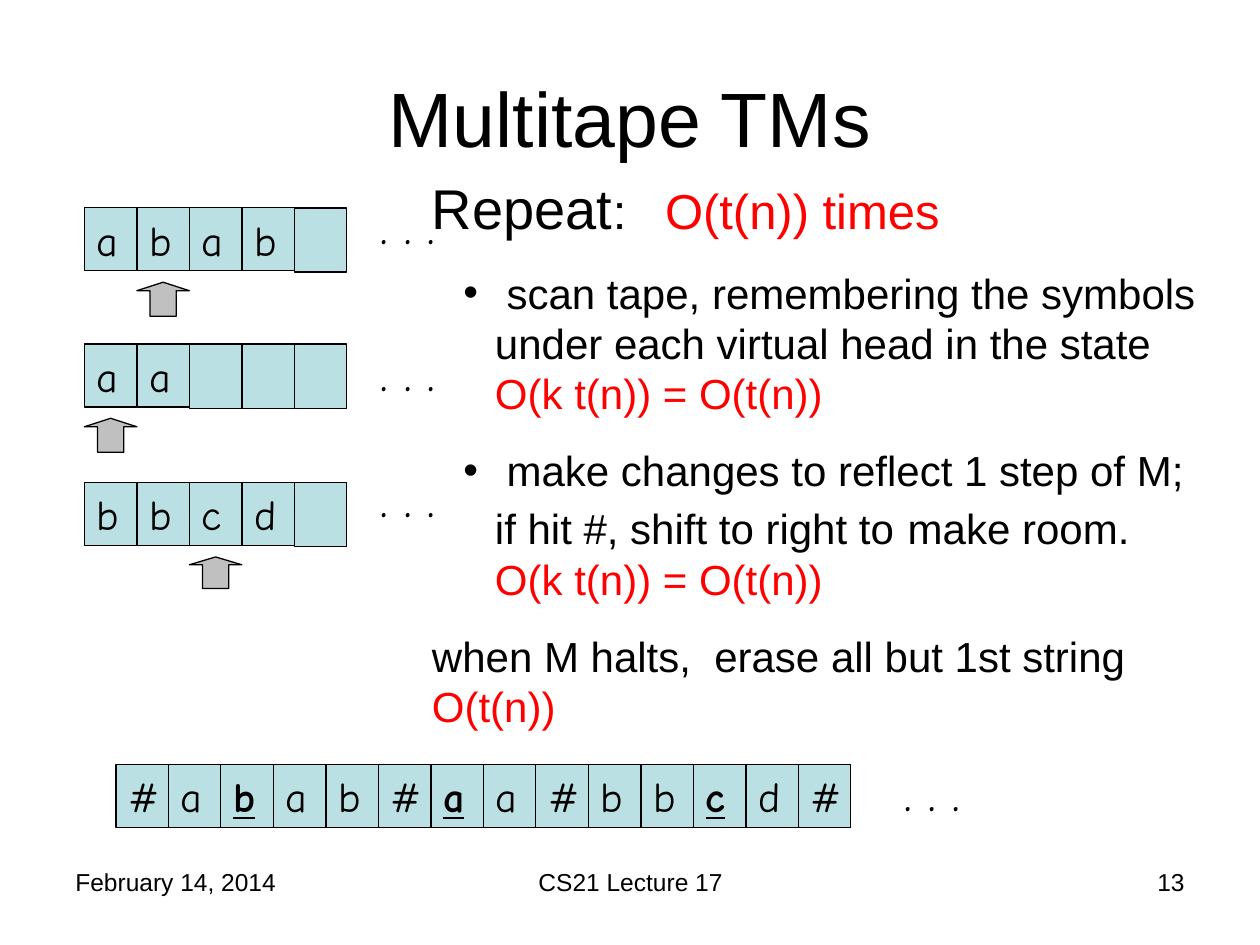
import pptx
import pptx.dml.color
import pptx.enum.shapes
import pptx.enum.text
import pptx.oxml.ns
import pptx.util
from lxml import etree
from pptx.util import Inches

COLORS = {"ink": "000000", "cost": "FF0000", "cell": "BBE0E3", "head": "C0C0C0"}
ALIGN = pptx.enum.text.PP_ALIGN
SHAPES = pptx.enum.shapes.MSO_SHAPE
CELL_WIDTH = 5 / 12


def rgb(name):
    """Return the named colour."""
    return pptx.dml.color.RGBColor.from_string(COLORS[name])


def add_span(para, text, size=24, font="Arial", color="ink", marked=False):
    """Add formatted text to a paragraph, bold and underlined when marked."""
    span = para.add_run()
    span.text = text
    span.font.size = pptx.util.Pt(size)
    span.font.name = font
    span.font.color.rgb = rgb(color)
    if marked:
        span.font.bold = span.font.underline = True


def add_box(page, left, top, width, height):
    """Add an empty wrapping text box."""
    box = page.shapes.add_textbox(Inches(left), Inches(top), Inches(width), Inches(height))
    box.text_frame.word_wrap = True
    return box


def add_label(page, text, left, top, width, height, align=ALIGN.LEFT, before=0, **style):
    """Add a one-line text box."""
    para = add_box(page, left, top, width, height).text_frame.paragraphs[0]
    para.alignment = align
    para.space_before = pptx.util.Pt(before)
    add_span(para, text, **style)


def add_dots(page, left, top, width):
    """Add the dots that continue a tape."""
    add_label(page, ". . .", left, top, width, 0.57, before=17.5, size=28, font="Comic Neue")


def add_block(page, kind, left, top, height, fill):
    """Add an outlined shape one cell wide."""
    block = page.shapes.add_shape(kind, Inches(left), Inches(top), Inches(CELL_WIDTH), Inches(height))
    block.shadow.inherit = False
    block.fill.solid()
    block.fill.fore_color.rgb = rgb(fill)
    block.line.color.rgb = rgb("ink")
    block.line.width = pptx.util.Pt(0.75)
    return block


def add_tape(page, symbols, left, top, marked=()):
    """Add a row of cells, where a space is a blank cell."""
    for index, symbol in enumerate(symbols):
        blank = symbol == " "
        cell = add_block(page, SHAPES.RECTANGLE, left + index * CELL_WIDTH, top, 0.51 if blank else 0.5, "cell")
        if blank:
            continue
        frame = cell.text_frame
        frame.vertical_anchor = pptx.enum.text.MSO_ANCHOR.TOP
        para = frame.paragraphs[0]
        para.alignment = ALIGN.LEFT
        para.space_before = pptx.util.Pt(15)
        add_span(para, symbol, font="Comic Neue", marked=index in marked)


def add_tab_stop(para, position):
    """Give a paragraph one left tab stop."""
    tabs = etree.SubElement(para._p.get_or_add_pPr(), pptx.oxml.ns.qn("a:tabLst"))
    etree.SubElement(tabs, pptx.oxml.ns.qn("a:tab"), pos=str(Inches(position)), algn="l")


def add_bullet(para):
    """Give a paragraph a hanging bullet."""
    settings = para._p.get_or_add_pPr()
    settings.set("lvl", "1")
    settings.set("marL", str(Inches(0.5)))
    settings.set("indent", str(Inches(-0.25)))
    etree.SubElement(settings, pptx.oxml.ns.qn("a:buFont"), typeface="Arial")
    etree.SubElement(settings, pptx.oxml.ns.qn("a:buChar"), char="•")


def add_steps(page):
    """Add the simulation steps with their costs."""
    frame = add_box(page, 3.33, 1.33, 6.42, 4.53).text_frame
    para = frame.paragraphs[0]
    para.space_before = pptx.util.Pt(17.5)
    add_tab_stop(para, 1.85)
    add_span(para, "Repeat", size=32)
    add_span(para, ":\t", size=28)
    add_span(para, "O(t(n)) times", size=28, color="cost")

    steps = [
        (True, [(" scan tape, remembering the symbols under each virtual head in the state", 24)], "O(k t(n)) = O(t(n))"),
        (True, [(" make changes to reflect 1 step of M; if hit #, shift to right to", 24), (" ", 28), ("make room.", 24)],
         "O(k t(n)) = O(t(n))"),
        (False, [("when M halts,  erase all but 1st string", 24)], "O(t(n))"),
    ]
    for bulleted, parts, cost in steps:
        para = frame.add_paragraph()
        para.space_before = pptx.util.Pt(15)
        if bulleted:
            add_bullet(para)
        for text, size in parts:
            add_span(para, text, size=size)
        para.add_line_break()
        add_span(para, cost, color="cost")


def add_title(page, text):
    """Place and fill the title."""
    title = page.shapes.title
    title.left, title.top, title.width, title.height = map(Inches, (0.5, 0.3, 9, 1.25))
    title.text_frame.vertical_anchor = pptx.enum.text.MSO_ANCHOR.MIDDLE
    para = title.text_frame.paragraphs[0]
    para.alignment = ALIGN.CENTER
    add_span(para, text, size=44)


def main():
    """Build the slide and save it."""
    deck = pptx.Presentation()
    deck.slide_width, deck.slide_height = Inches(10), Inches(7.5)
    page = deck.slides.add_slide(deck.slide_layouts[5])
    add_title(page, "Multitape TMs")

    footers = [("February 14, 2014", 0.5, 2.33, ALIGN.LEFT),
               ("CS21 Lecture 17", 3.42, 3.17, ALIGN.CENTER),
               ("13", 7.17, 2.33, ALIGN.RIGHT)]
    for text, left, width, align in footers:
        add_label(page, text, left, 6.83, width, 0.52, align=align, size=14)

    tapes = [("abab ", 1.65, 1, 0.27, 1.5),
             ("aa   ", 2.73, 0, 0.27, 2.67),
             ("bbcd ", 3.83, 2, 0.25, 3.67)]
    for symbols, top, head, head_height, dots_top in tapes:
        add_tape(page, symbols, 0.67, top)
        arrow = add_block(page, SHAPES.UP_ARROW, 0.67 + head * CELL_WIDTH, top + 0.59, head_height, "head")
        arrow.adjustments[0], arrow.adjustments[1] = 0.5, 0.25
        add_dots(page, 2.92, dots_top, 1.58)

    add_tape(page, "#abab#aa#bbcd#", 0.92, 6.07, marked=(2, 6, 11))
    add_dots(page, 7.08, 6, 0.92)
    add_steps(page)
    deck.save("out.pptx")


if __name__ == "__main__":
    main()
